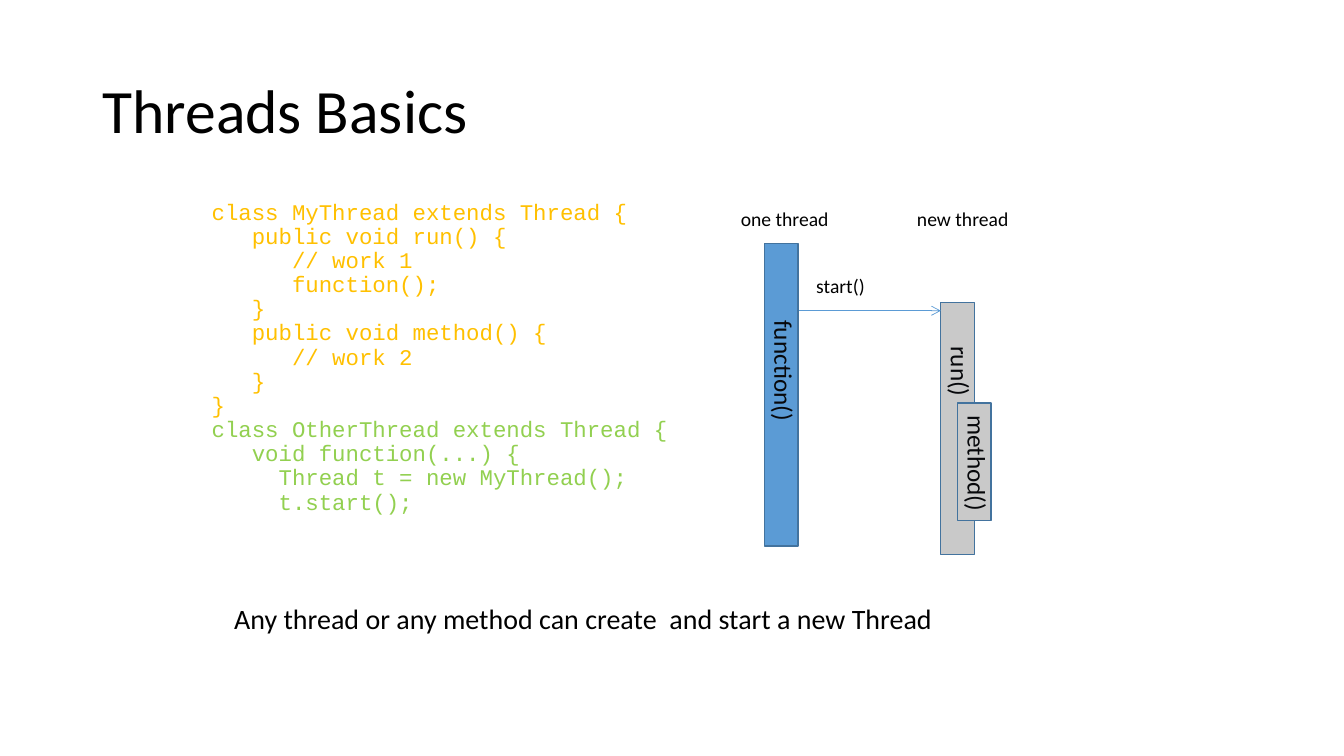
from lxml.etree import SubElement
from pptx import Presentation
from pptx.dml.color import RGBColor
from pptx.enum.shapes import MSO_CONNECTOR, MSO_SHAPE
from pptx.enum.text import MSO_ANCHOR, MSO_AUTO_SIZE, PP_ALIGN
from pptx.oxml.ns import qn
from pptx.util import Cm, Pt

COLORS = {
    "text": "000000",
    "bar text": "07080B",
    "first class": "FFC000",
    "second class": "92D050",
    "blue bar": "5B9BD5",
    "grey bar": "C9C9C9",
    "outline": "43739E",
}

FIRST_CLASS = """class MyThread extends Thread {
   public void run() {
      // work 1
      function();
   }
   public void method() {
      // work 2
   }
}"""

SECOND_CLASS = """class OtherThread extends Thread {
   void function(...) {
     Thread t = new MyThread();
     t.start();"""


def color(name):
    return RGBColor.from_string(COLORS[name])


def add_span(para, text, size, color_name="text", font="Calibri"):
    span = para.add_run()
    span.text = text
    span.font.name = font
    span.font.size = Pt(size)
    span.font.color.rgb = color(color_name)


def place(shape, left, top, width, height):
    shape.left, shape.top = Cm(left), Cm(top)
    shape.width, shape.height = Cm(width), Cm(height)


def add_label(page, text, box, size, color_name="text", wrap=True):
    label = page.shapes.add_textbox(*(Cm(length) for length in box))
    label.text_frame.word_wrap = wrap
    add_span(label.text_frame.paragraphs[0], text, size, color_name)
    return label


def add_title(page, box):
    title = page.shapes.title
    place(title, *box)
    title.text_frame.vertical_anchor = MSO_ANCHOR.MIDDLE
    para = title.text_frame.paragraphs[0]
    para.alignment = PP_ALIGN.LEFT
    para.line_spacing = 0.9
    add_span(para, "Threads Basics", 44)


def add_code(page, box):
    body = page.placeholders[1]
    place(body, *box)
    frame = body.text_frame
    frame.auto_size = MSO_AUTO_SIZE.NONE
    lines = [(line, "first class") for line in FIRST_CLASS.splitlines()]
    lines += [(line, "second class") for line in SECOND_CLASS.splitlines()]
    for index, (line, color_name) in enumerate(lines):
        para = frame.add_paragraph() if index else frame.paragraphs[0]
        # Hanging indent without a bullet
        properties = para._p.get_or_add_pPr()
        properties.set("marL", str(Cm(0.64)))
        properties.set("indent", str(-Cm(0.64)))
        SubElement(properties, qn("a:buNone"))
        para.line_spacing = 0.9
        para.space_before = Pt(0)
        add_span(para, line, 16, color_name, "Courier New")


def add_bar(page, fill, box):
    bar = page.shapes.add_shape(MSO_SHAPE.RECTANGLE, *(Cm(length) for length in box))
    bar.shadow.inherit = False
    bar.fill.solid()
    bar.fill.fore_color.rgb = color(fill)
    bar.line.color.rgb = color("outline")
    bar.line.width = Pt(1)


def add_bar_label(page, text, center_x, center_y, length):
    height = 1.02
    box = (center_x - length / 2, center_y - height / 2, length, height)
    add_label(page, text, box, 18, "bar text", wrap=False).rotation = 90


def add_arrow(page, start_x, end_x, y):
    arrow = page.shapes.add_connector(
        MSO_CONNECTOR.STRAIGHT, Cm(start_x), Cm(y), Cm(end_x), Cm(y))
    arrow.line.color.rgb = color("blue bar")
    arrow.line.width = Pt(0.5)
    SubElement(arrow.line._get_or_add_ln(), qn("a:tailEnd"), type="arrow")
    SubElement(arrow._element.spPr, qn("a:effectLst"))


def add_thread_diagram(page, left, top):
    bar_width = 0.85
    one_x, new_x, method_x = left + 0.84, left + 5.29, left + 5.71
    label_shift = bar_width / 2 + 0.08
    label_y = top + 4.29

    # New thread, started by the arrow
    add_bar(page, "grey bar", (new_x, top + 2.54, bar_width, 6.35))
    add_arrow(page, one_x + 0.63, new_x, top + 2.75)
    add_bar_label(page, "run()", new_x + label_shift, label_y, 1.8)

    # Captions
    for text, x, y in (("start()", 1.9, 1.69), ("one thread", 0, 0),
                       ("new thread", 4.44, 0)):
        add_label(page, text, (left + x, top + y, 3.18, 0.86), 14)

    # First thread
    add_bar(page, "blue bar", (one_x, top + 1.06, bar_width, 7.62))
    add_bar_label(page, "function()", one_x + label_shift, label_y, 3.1)

    # Method called inside the new thread
    add_bar(page, "grey bar", (method_x, top + 5.08, bar_width, 2.96))
    add_bar_label(page, "method()", method_x + label_shift, top + 6.63, 3)


def add_conclusion(page, box):
    text = "Any thread or any method can create  and start a new Thread"
    label = add_label(page, text, box, 20, wrap=False)
    label.text_frame.paragraphs[0].alignment = PP_ALIGN.CENTER


def main():
    deck = Presentation()
    deck.slide_width, deck.slide_height = Cm(33.87), Cm(19.05)
    page = deck.slides.add_slide(deck.slide_layouts[1])
    add_title(page, (2.33, 1.01, 29.21, 3.68))
    add_code(page, (5.08, 4.93, 12.28, 12.45))
    add_thread_diagram(page, 18.42, 5.08)
    add_conclusion(page, (5.5, 15.03, 18.4, 1.11))
    deck.save("out.pptx")


if __name__ == "__main__":
    main()
